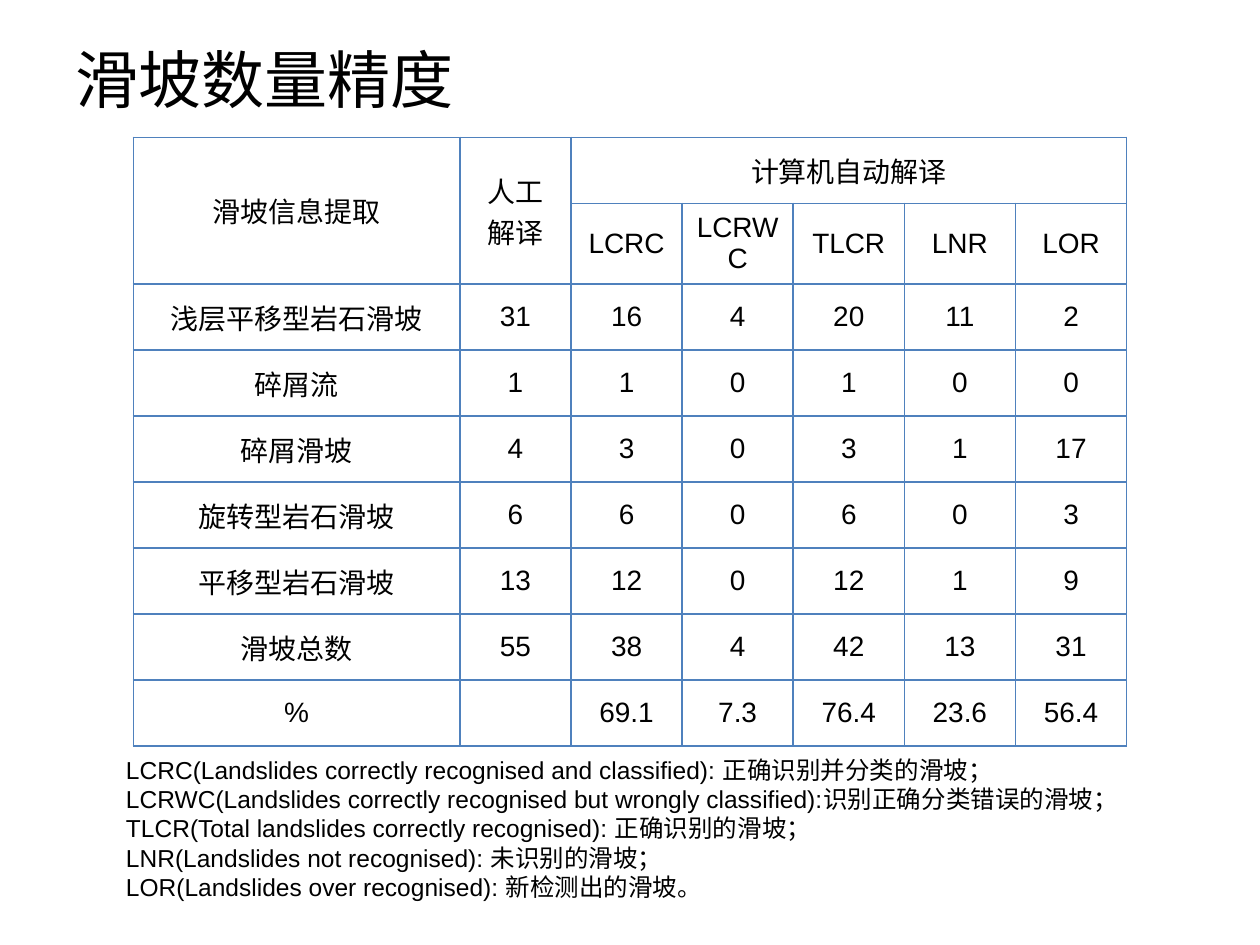
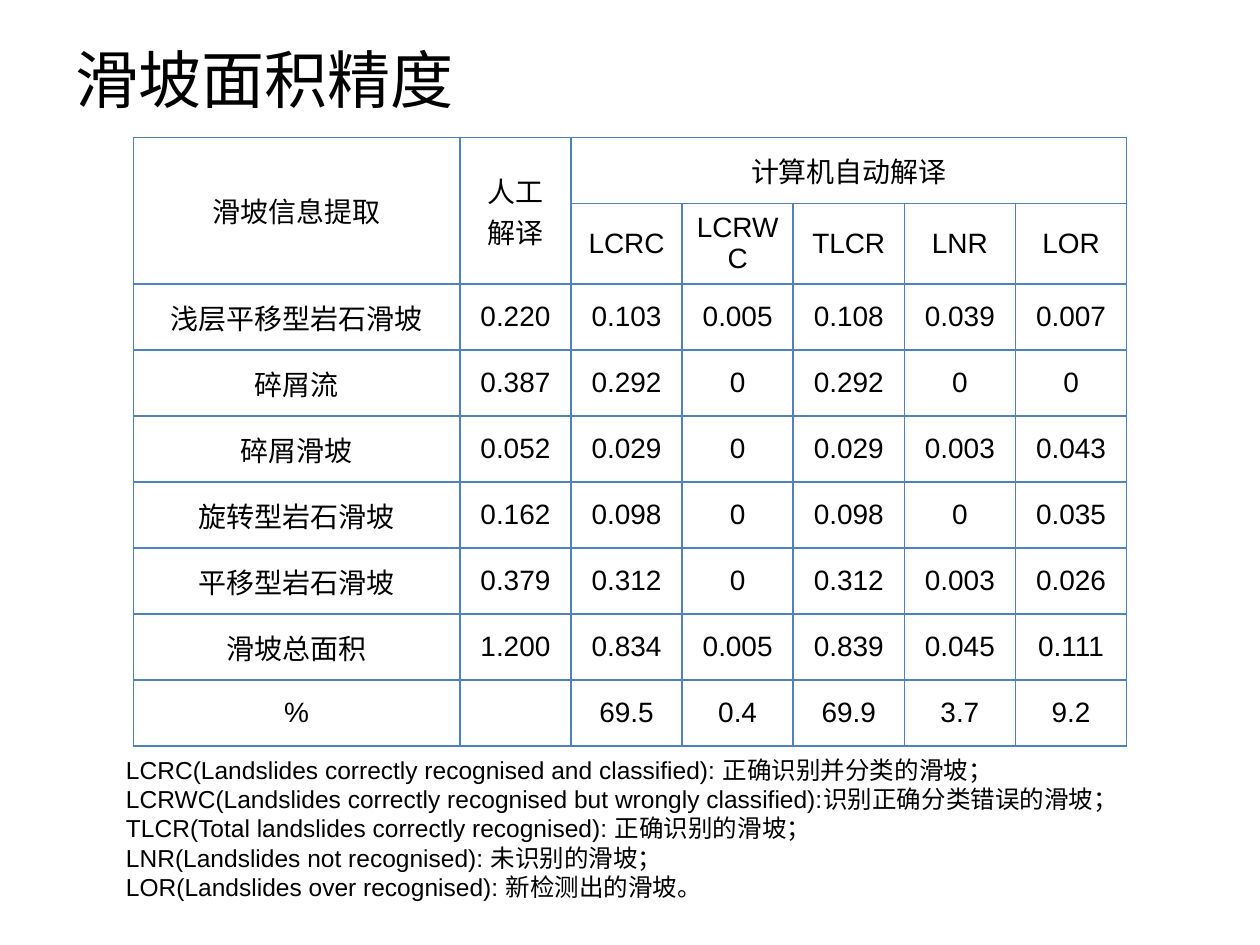
from lxml import etree
from pptx import Presentation
from pptx.dml.color import RGBColor
from pptx.enum import text
from pptx.oxml.ns import qn
from pptx.util import Cm, Pt

# Shared look
BLACK = RGBColor(0x00, 0x00, 0x00)
BORDER = RGBColor(0x4F, 0x81, 0xBD)
TITLE_FONT, BODY_FONT = "Calibri", "Arial"
LABEL_WIDTH, VALUE_WIDTH, ROW_HEIGHT = Cm(6.58), Cm(2.24), Cm(1.33)

# Shared wording
HEADER = [
    ["滑坡信息提取", "人工\n解译", "计算机自动解译", "", "", "", ""],
    ["", "", "LCRC", "LCRWC", "TLCR", "LNR", "LOR"],
]
MERGES = [((0, 0), (1, 0)), ((0, 1), (1, 1)), ((0, 2), (0, 6))]
LANDSLIDE_TYPES = ["浅层平移型岩石滑坡", "碎屑流", "碎屑滑坡", "旋转型岩石滑坡", "平移型岩石滑坡"]
ABBREVIATIONS = [
    "LCRC(Landslides correctly recognised and classified): 正确识别并分类的滑坡；",
    "LCRWC(Landslides correctly recognised but wrongly classified):识别正确分类错误的滑坡；",
    "TLCR(Total landslides correctly recognised): 正确识别的滑坡；",
    "LNR(Landslides not recognised): 未识别的滑坡；",
    "LOR(Landslides over recognised): 新检测出的滑坡。",
]

# Title, label of the total row, values by row
SLIDES = [
    ("滑坡数量精度", "滑坡总数", [
        ["31", "16", "4", "20", "11", "2"],
        ["1", "1", "0", "1", "0", "0"],
        ["4", "3", "0", "3", "1", "17"],
        ["6", "6", "0", "6", "0", "3"],
        ["13", "12", "0", "12", "1", "9"],
        ["55", "38", "4", "42", "13", "31"],
        ["", "69.1", "7.3", "76.4", "23.6", "56.4"],
    ]),
    ("滑坡面积精度", "滑坡总面积", [
        ["0.220", "0.103", "0.005", "0.108", "0.039", "0.007"],
        ["0.387", "0.292", "0", "0.292", "0", "0"],
        ["0.052", "0.029", "0", "0.029", "0.003", "0.043"],
        ["0.162", "0.098", "0", "0.098", "0", "0.035"],
        ["0.379", "0.312", "0", "0.312", "0.003", "0.026"],
        ["1.200", "0.834", "0.005", "0.839", "0.045", "0.111"],
        ["", "69.5", "0.4", "69.9", "3.7", "9.2"],
    ]),
]


def write(tf, content, size, font, align):
    tf.text = content
    for p in tf.paragraphs:
        p.alignment = align
        p.font.size, p.font.name = Pt(size), font
        p.font.color.rgb = BLACK


def add_title(s, title):
    sp = s.shapes.title
    sp.left, sp.top, sp.width, sp.height = Cm(1.27), Cm(0.76), Cm(22.86), Cm(1.63)
    tf = sp.text_frame
    write(tf, title, 36, TITLE_FONT, text.PP_ALIGN.LEFT)
    tf.vertical_anchor = text.MSO_ANCHOR.MIDDLE
    tf.auto_size = text.MSO_AUTO_SIZE.NONE


def set_borders(cell):
    tc_pr = cell._tc.get_or_add_tcPr()
    for i, side in enumerate(("lnL", "lnR", "lnT", "lnB")):
        ln = etree.Element(qn(f"a:{side}"), w=str(Pt(1)))
        fill = etree.SubElement(ln, qn("a:solidFill"))
        etree.SubElement(fill, qn("a:srgbClr"), val=str(BORDER))
        tc_pr.insert(i, ln)


def add_accuracy_table(s, rows):
    n_rows, n_cols = len(rows), len(rows[0])
    width = LABEL_WIDTH + VALUE_WIDTH * (n_cols - 1)
    table = s.shapes.add_table(n_rows, n_cols, Cm(2.69), Cm(2.77),
                               width, ROW_HEIGHT * n_rows).table
    table.first_row = table.horz_banding = False
    for i, column in enumerate(table.columns):
        column.width = VALUE_WIDTH if i else LABEL_WIDTH

    for r, row in enumerate(rows):
        for c, value in enumerate(row):
            cell = table.cell(r, c)
            cell.margin_left = cell.margin_right = Cm(0.18)
            cell.margin_top = cell.margin_bottom = 0
            cell.vertical_anchor = text.MSO_ANCHOR.MIDDLE
            cell.fill.background()
            set_borders(cell)
            write(cell.text_frame, value, 16, BODY_FONT, text.PP_ALIGN.CENTER)
    for first, last in MERGES:
        table.cell(*first).merge(table.cell(*last))


def add_abbreviations(s):
    tf = s.shapes.add_textbox(Cm(2.29), Cm(5.94 * 2.54), Cm(20.83), Cm(3.25)).text_frame
    tf.word_wrap = True
    write(tf, "\n".join(ABBREVIATIONS), 14, BODY_FONT, text.PP_ALIGN.LEFT)
    tf.auto_size = text.MSO_AUTO_SIZE.SHAPE_TO_FIT_TEXT


def main():
    prs = Presentation()
    prs.slide_width, prs.slide_height = Cm(25.4), Cm(19.05)
    title_only = prs.slide_layouts[5]
    for title, total_label, values in SLIDES:
        s = prs.slides.add_slide(title_only)
        add_title(s, title)
        labels = LANDSLIDE_TYPES + [total_label, "%"]
        add_accuracy_table(s, HEADER + [[label, *row] for label, row in zip(labels, values)])
        add_abbreviations(s)
    prs.save("out.pptx")


if __name__ == "__main__":
    main()
